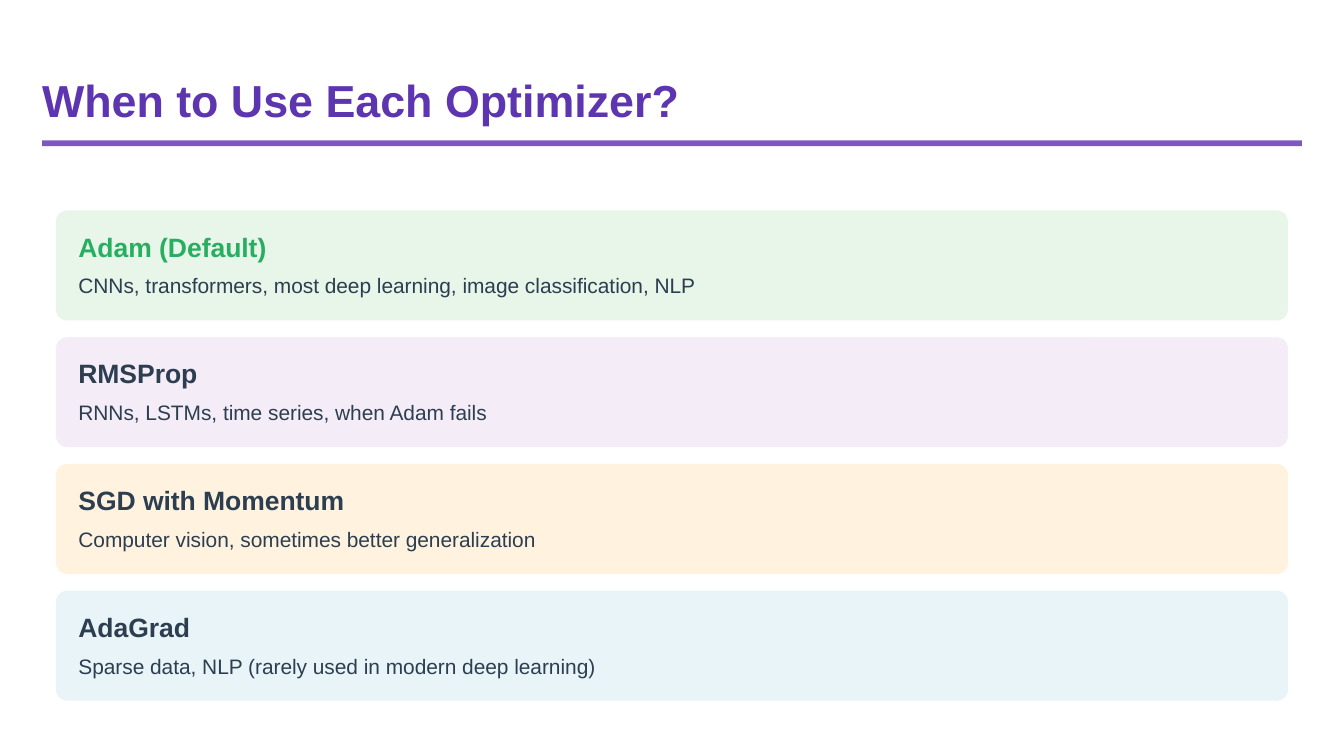
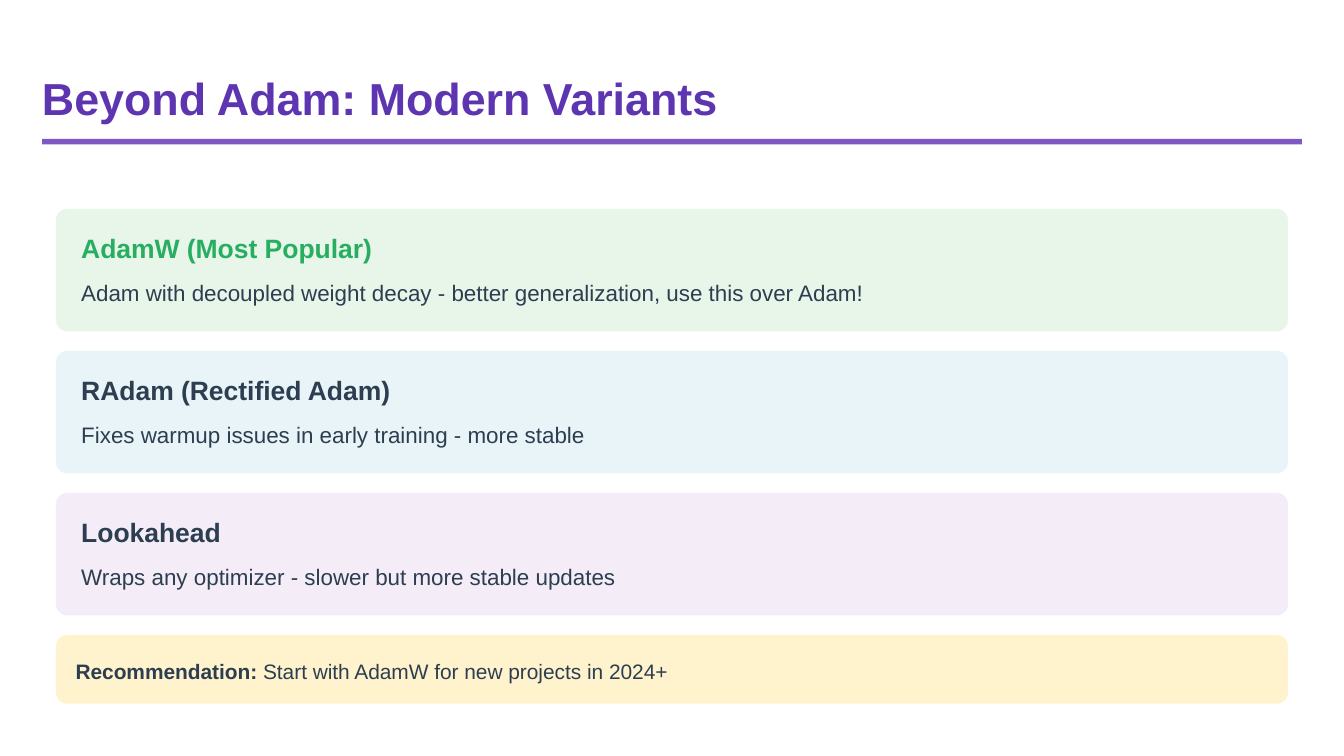
from pptx import Presentation
from pptx.dml.color import RGBColor as RGB
from pptx.enum.shapes import MSO_SHAPE as Shape
from pptx.util import Inches, Pt

COLS = 240
WIDTH = Inches(10)
HEIGHT = WIDTH * 9 // 16
CELL = WIDTH // COLS
CELL_PT = 3

FONT = "Arial"
WHITE = RGB(0xFF, 0xFF, 0xFF)
TITLE = RGB(0x5E, 0x35, 0xB1)
BAR = RGB(0x7E, 0x57, 0xC2)
INK = RGB(0x2C, 0x3E, 0x50)
GREEN = RGB(0x27, 0xAE, 0x60)
MINT = RGB(0xE8, 0xF5, 0xE9)
LILAC = RGB(0xF4, 0xEC, 0xF7)
PEACH = RGB(0xFF, 0xF3, 0xE0)
SKY = RGB(0xE8, 0xF4, 0xF8)
CREAM = RGB(0xFF, 0xF3, 0xCD)

EDGE = 7.5
CARD_LEFT = 10
CARD_WIDTH = COLS - 2 * CARD_LEFT
RADIUS = 2
HEAD_SHARE, BODY_SHARE = 0.51, 1.02
HEAD_SIZE, HEAD_LEAD = 14.2, 15.8
SMALL = 11.2
TITLE_LEAD, TITLE_AFTER = 24, 7.5
BAR_DROP = 12.5


def place(*cells):
    return [round(n * CELL) for n in cells]


def add_text(slide, left, top, width, runs, size, lead, color=INK, bold=False, after=0):
    box = slide.shapes.add_textbox(*place(left, top, width, lead / CELL_PT))
    frame = box.text_frame
    frame.word_wrap = True
    frame.margin_left = frame.margin_top = frame.margin_right = frame.margin_bottom = 0
    para = frame.paragraphs[0]
    para.line_spacing = Pt(lead)
    para.space_before = Pt(0)
    para.space_after = Pt(after)
    font = para.font
    font.name, font.size, font.bold = FONT, Pt(size), bold
    font.color.rgb = color
    for text, strong in runs:
        run = para.add_run()
        run.text = text
        if strong:
            run.font.bold = True


def add_panel(slide, kind, box, fill):
    panel = slide.shapes.add_shape(kind, *place(*box))
    panel.shadow.inherit = False
    panel.fill.solid()
    panel.fill.fore_color.rgb = fill
    panel.line.fill.background()
    if kind == Shape.ROUNDED_RECTANGLE:
        panel.adjustments[0] = RADIUS / box[3]


def add_title(slide, top, width, text):
    add_text(slide, EDGE, top, width, [(text, False)], 24, TITLE_LEAD,
             TITLE, True, TITLE_AFTER)
    bar = top + (TITLE_LEAD + TITLE_AFTER) / CELL_PT
    add_panel(slide, Shape.RECTANGLE, (EDGE, bar, COLS - 2 * EDGE, 1), BAR)
    return bar + BAR_DROP


def add_card(slide, top, card, pad, after, size, lead):
    head, body, fill, color = card
    drop = pad + (HEAD_LEAD + after) / CELL_PT
    height = drop + lead / CELL_PT + pad
    add_panel(slide, Shape.ROUNDED_RECTANGLE, (CARD_LEFT, top, CARD_WIDTH, height), fill)
    left, width = CARD_LEFT + pad, CARD_WIDTH - 2 * pad
    add_text(slide, left, top + pad, width * HEAD_SHARE, [(head, False)],
             HEAD_SIZE, HEAD_LEAD, color, True, after)
    add_text(slide, left, top + drop, width * BODY_SHARE, [(body, False)], size, lead)
    return top + height


def add_stack(slide, top, cards, gap, **style):
    for card in cards:
        top = add_card(slide, top, card, **style) + gap
    return top


def add_note(slide, top, label, text, pad=3.5):
    height = HEAD_LEAD / CELL_PT + 2 * pad
    add_panel(slide, Shape.ROUNDED_RECTANGLE, (CARD_LEFT, top, CARD_WIDTH, height), CREAM)
    add_text(slide, CARD_LEFT + pad, top + pad, (CARD_WIDTH - 2 * pad) * BODY_SHARE,
             [(label, True), (text, False)], SMALL, HEAD_LEAD)


def new_slide(deck):
    slide = deck.slides.add_slide(deck.slide_layouts[6])
    slide.background.fill.solid()
    slide.background.fill.fore_color.rgb = WHITE
    return slide


def add_uses(deck):
    slide = new_slide(deck)
    top = add_title(slide, 14.6, 116, "When to Use Each Optimizer?")
    cards = [
        ("Adam (Default)",
         "CNNs, transformers, most deep learning, image classification, NLP", MINT, GREEN),
        ("RMSProp", "RNNs, LSTMs, time series, when Adam fails", LILAC, INK),
        ("SGD with Momentum", "Computer vision, sometimes better generalization", PEACH, INK),
        ("AdaGrad", "Sparse data, NLP (rarely used in modern deep learning)", SKY, INK),
    ]
    add_stack(slide, top, cards, 3, pad=4, after=4.5, size=SMALL, lead=14.6)


def add_variants(deck):
    slide = new_slide(deck)
    top = add_title(slide, 14.3, 123, "Beyond Adam: Modern Variants")
    cards = [
        ("AdamW (Most Popular)",
         "Adam with decoupled weight decay - better generalization, use this over Adam!",
         MINT, GREEN),
        ("RAdam (Rectified Adam)", "Fixes warmup issues in early training - more stable",
         SKY, INK),
        ("Lookahead", "Wraps any optimizer - slower but more stable updates", LILAC, INK),
    ]
    top = add_stack(slide, top, cards, 3.5, pad=4.5, after=6, size=12, lead=16.8)
    add_note(slide, top, "Recommendation:", " Start with AdamW for new projects in 2024+")


def main():
    deck = Presentation()
    deck.slide_width, deck.slide_height = WIDTH, HEIGHT
    add_uses(deck)
    add_variants(deck)
    deck.save("out.pptx")


if __name__ == "__main__":
    main()
